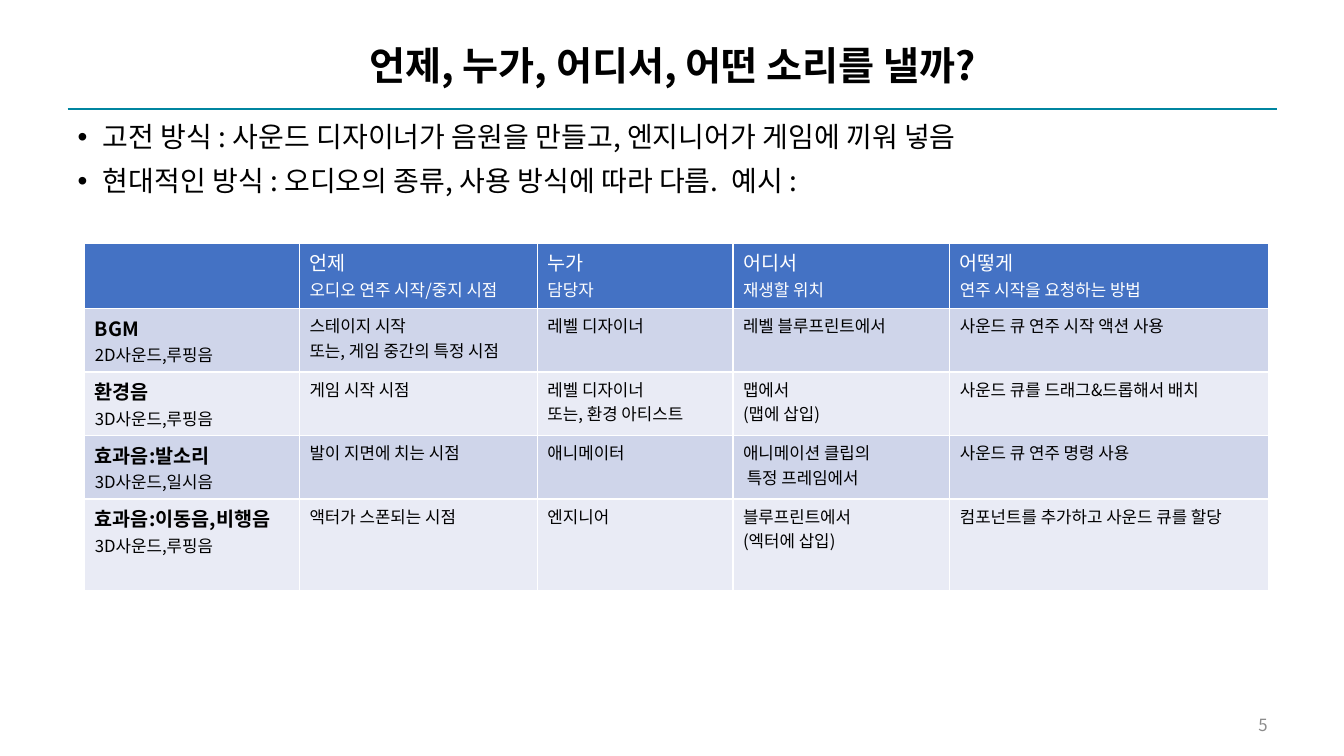
from dataclasses import dataclass

from lxml.etree import SubElement
from pptx import Presentation
from pptx.dml.color import RGBColor
from pptx.enum.shapes import MSO_CONNECTOR as Connector
from pptx.enum.text import MSO_ANCHOR as Anchor, MSO_AUTO_SIZE as AutoSize, PP_ALIGN as Align
from pptx.oxml.ns import qn
from pptx.util import Inches, Pt


@dataclass(frozen=True)
class Theme:
    """Fonts, colours and type sizes of the slide."""
    font: str = "Noto Sans CJK KR"
    text: str = "000000"
    rule: str = "0085A0"
    page: str = "8C8C8C"
    header: str = "4472C4"
    header_text: str = "FFFFFF"
    bands: tuple = ("CFD5EA", "E9EBF5")
    title_size: int = 28
    body_size: int = 20
    heading_size: int = 14
    detail_size: int = 12


THEME = Theme()
TITLE = "언제, 누가, 어디서, 어떤 소리를 낼까?"
POINTS = [
    "고전 방식 : 사운드 디자이너가 음원을 만들고, 엔지니어가 게임에 끼워 넣음",
    "현대적인 방식 : 오디오의 종류, 사용 방식에 따라 다름.  예시 :",
]
COLUMN_WIDTHS = [2.13, 2.36, 1.94, 2.15, 3.16]
ROW_HEIGHTS = [0.65, 0.63, 0.63, 0.63, 0.91]
SOUNDS = [
    ["", "언제\n오디오 연주 시작/중지 시점", "누가\n담당자", "어디서\n재생할 위치",
     "어떻게\n연주 시작을 요청하는 방법"],
    ["BGM\n2D사운드,루핑음", "스테이지 시작\n또는, 게임 중간의 특정 시점", "레벨 디자이너",
     "레벨 블루프린트에서", "사운드 큐 연주 시작 액션 사용"],
    ["환경음\n3D사운드,루핑음", "게임 시작 시점", "레벨 디자이너\n또는, 환경 아티스트",
     "맵에서\n(맵에 삽입)", "사운드 큐를 드래그&드롭해서 배치"],
    ["효과음:발소리\n3D사운드,일시음", "발이 지면에 치는 시점", "애니메이터",
     "애니메이션 클립의\n 특정 프레임에서", "사운드 큐 연주 명령 사용"],
    ["효과음:이동음,비행음\n3D사운드,루핑음", "액터가 스폰되는 시점", "엔지니어",
     "블루프린트에서\n(엑터에 삽입)", "컴포넌트를 추가하고 사운드 큐를 할당"],
]


def style(paragraph, size, color=THEME.text, bold=False):
    """Set the type of a paragraph for Latin and Korean letters."""
    font = paragraph.font
    font.name, font.size, font.bold = THEME.font, Pt(size), bold
    font.color.rgb = RGBColor.from_string(color)
    properties = paragraph._p.get_or_add_pPr().find(qn("a:defRPr"))
    SubElement(properties, qn("a:ea"), typeface=THEME.font)


def place(shape, left, top, width, height):
    """Move and size a shape in inches."""
    shape.left, shape.top = Inches(left), Inches(top)
    shape.width, shape.height = Inches(width), Inches(height)


def add_rule(slide):
    """Draw the line under the title."""
    rule = slide.shapes.add_connector(
        Connector.STRAIGHT, Inches(0.67), Inches(1.08), Inches(12.67), Inches(1.08))
    rule.line.color.rgb = RGBColor.from_string(THEME.rule)
    rule.line.width = Pt(1)
    SubElement(rule._element.spPr, qn("a:effectLst"))


def fill_title(title):
    """Write the slide title."""
    place(title, 0.67, 0.37, 12, 0.61)
    frame = title.text_frame
    frame.text = TITLE
    frame.auto_size = AutoSize.NONE
    frame.vertical_anchor = Anchor.MIDDLE
    heading = frame.paragraphs[0]
    heading.alignment = Align.CENTER
    heading.line_spacing = 0.9
    style(heading, THEME.title_size, bold=True)


def fill_body(body):
    """Write the bulleted points."""
    place(body, 0.67, 1.17, 12, 5.78)
    frame = body.text_frame
    frame.text = "\n".join(POINTS)
    frame.auto_size = AutoSize.NONE
    for point in frame.paragraphs:
        point.line_spacing = 0.9
        point.space_before = Pt(10)
        indent = point._p.get_or_add_pPr()
        indent.set("marL", str(Inches(0.25)))
        indent.set("indent", str(Inches(-0.25)))
        style(point, THEME.body_size)


def add_page_number(slide, number):
    """Write the page number at the lower right."""
    box = slide.shapes.add_textbox(Inches(9.42), Inches(7.03), Inches(3.25), Inches(0.32))
    frame = box.text_frame
    frame.word_wrap = True
    frame.vertical_anchor = Anchor.MIDDLE
    frame.text = str(number)
    frame.paragraphs[0].alignment = Align.RIGHT
    style(frame.paragraphs[0], THEME.detail_size, THEME.page)


def fill_cell(cell, text, row, column):
    """Write one table cell in the type and fill of its row and column."""
    is_header = row == 0
    fill = THEME.header if is_header else THEME.bands[(row - 1) % 2]
    color = THEME.header_text if is_header else THEME.text
    cell.fill.solid()
    cell.fill.fore_color.rgb = RGBColor.from_string(fill)
    cell.text_frame.text = text
    for index, line in enumerate(cell.text_frame.paragraphs):
        is_heading = index == 0 and (is_header or column == 0)
        size = THEME.heading_size if is_heading else THEME.detail_size
        style(line, size, color, bold=is_heading and not is_header)


def add_sound_table(slide):
    """Add the table of sound types."""
    table = slide.shapes.add_table(
        len(SOUNDS), len(COLUMN_WIDTHS), Inches(0.84), Inches(2.41),
        Inches(sum(COLUMN_WIDTHS)), Inches(sum(ROW_HEIGHTS))).table
    for column, width in zip(table.columns, COLUMN_WIDTHS):
        column.width = Inches(width)
    for row, height in zip(table.rows, ROW_HEIGHTS):
        row.height = Inches(height)
    for row, texts in enumerate(SOUNDS):
        for column, text in enumerate(texts):
            fill_cell(table.cell(row, column), text, row, column)


def main():
    """Build and save the slide."""
    deck = Presentation()
    deck.slide_width, deck.slide_height = Inches(13.33), Inches(7.5)
    slide = deck.slides.add_slide(deck.slide_layouts[1])
    add_rule(slide)
    fill_title(slide.shapes.title)
    fill_body(slide.placeholders[1])
    add_page_number(slide, 5)
    add_sound_table(slide)
    deck.save("out.pptx")


if __name__ == "__main__":
    main()
